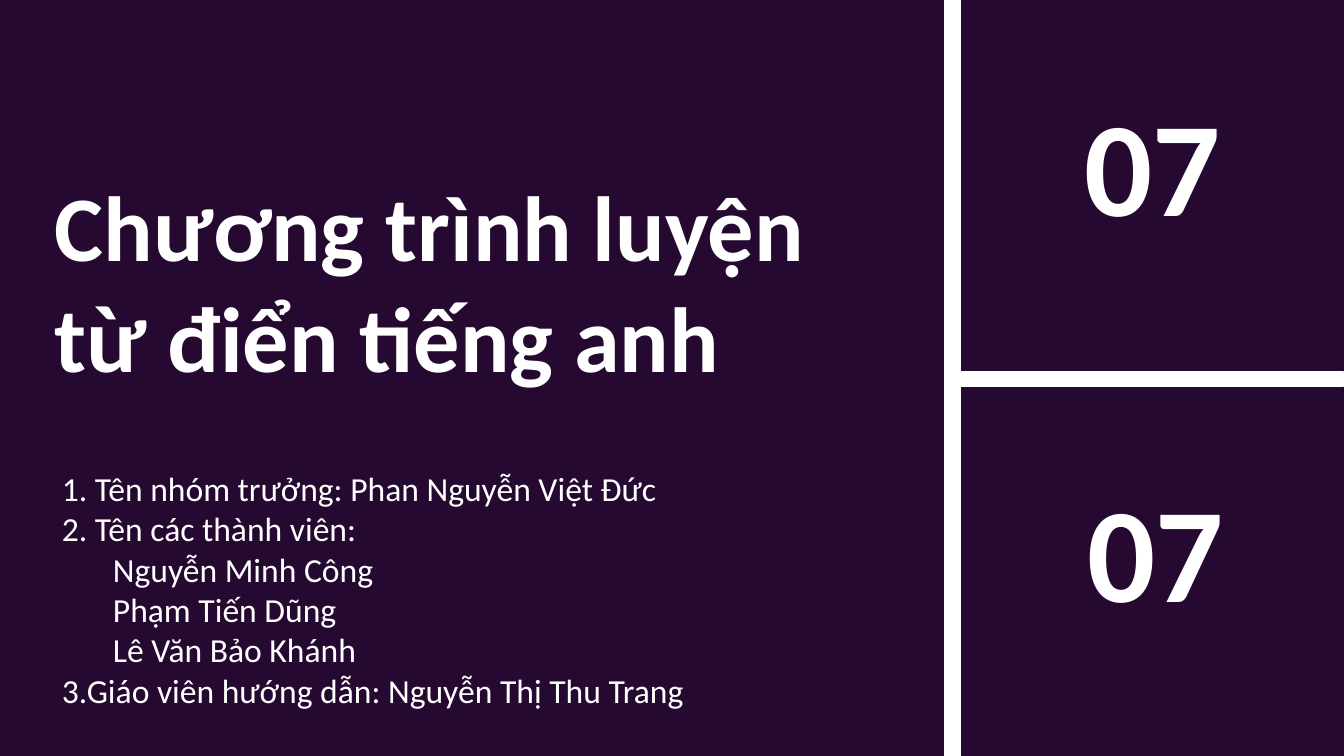
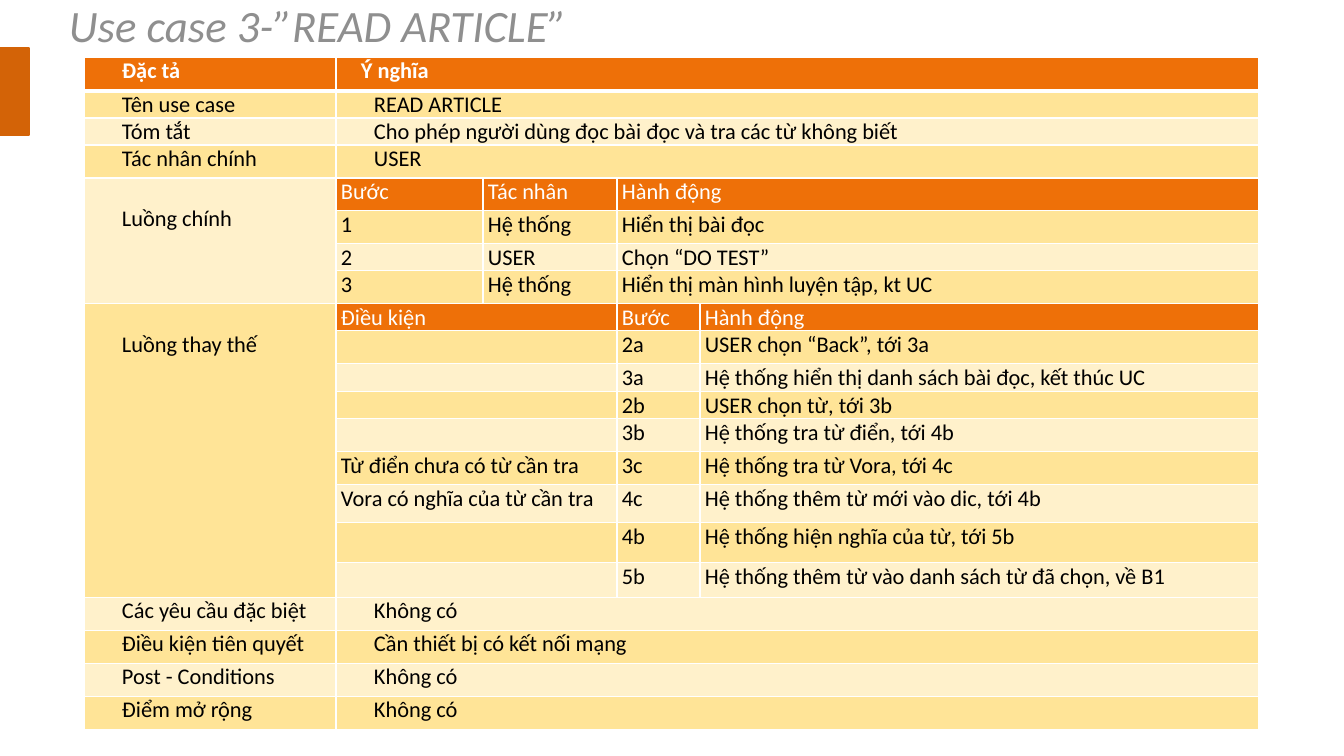
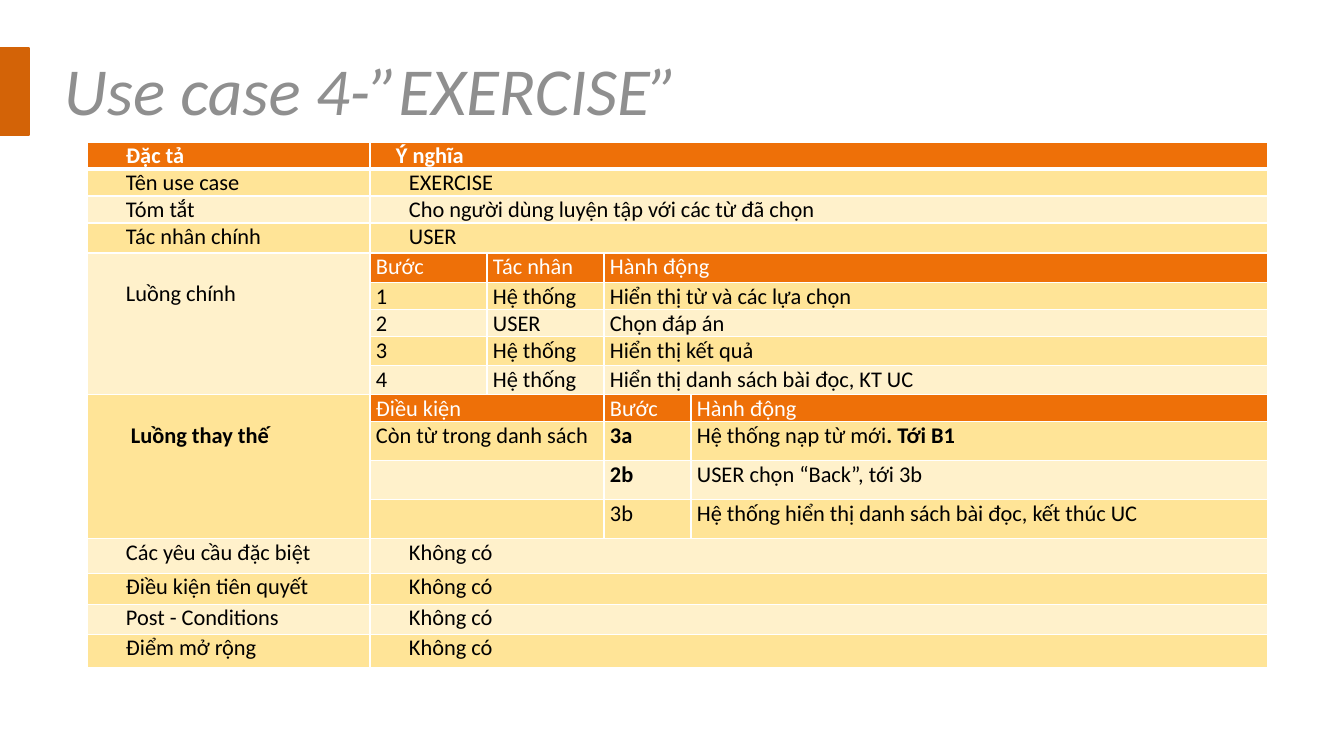
from dataclasses import dataclass
from typing import NamedTuple, Sequence

from lxml.etree import SubElement
from pptx import Presentation
from pptx.dml.color import RGBColor
from pptx.enum.shapes import MSO_SHAPE
from pptx.oxml.ns import qn
from pptx.util import Emu, Pt

WIDE, HIGH = 1344, 756
SCALE = 12192000 / WIDE


def px(n: int) -> Emu:
    return Emu(round(n * SCALE))


@dataclass(frozen=True)
class Theme:
    font: str = "Calibri"
    night: str = "250931"
    white: str = "FFFFFF"
    black: str = "000000"
    gray: str = "8F8F8F"
    rust: str = "D36307"
    orange: str = "EE7008"
    bands: tuple = ("FFE497", "FFF1CB")
    cover: int = 66
    number: int = 96
    list: int = 24
    cell: int = 16
    edge: float = 0.85
    rule: int = 1
    thick: int = 3


THEME = Theme()


class Box(NamedTuple):
    left: int
    top: int
    width: int
    height: int


class Line(NamedTuple):
    text: str
    dent: int = 0


class Flow(NamedTuple):
    """A block of steps with its own header row."""
    label: Line
    spans: tuple  # first and last column of each cell
    head: tuple
    steps: tuple


class Case(NamedTuple):
    title: Line
    size: int
    place: Box
    left: int
    top: int
    inset: int
    cols: tuple
    rows: tuple
    body: tuple  # (label, meaning) pairs and flows


# Basic pieces
def write(frame, lines: Sequence[Line], *, size: int, color: str,
          bold: bool = False, italic: bool = False) -> None:
    """Fill a text frame; text between asterisks is bold."""
    for i, line in enumerate(lines):
        para = frame.paragraphs[0] if i == 0 else frame.add_paragraph()
        if line.dent:
            para._p.get_or_add_pPr().set("marL", str(px(line.dent)))
        for k, piece in enumerate(line.text.split("*")):
            if not piece:
                continue
            run = para.add_run()
            run.text = piece
            font = run.font
            font.name, font.size = THEME.font, Pt(size)
            font.bold, font.italic = bold or k % 2 == 1, italic
            font.color.rgb = RGBColor.from_string(color)
        if not line.text:
            SubElement(para._p, qn("a:endParaRPr"), sz=str(size * 100))


def label(slide, box: Box, lines: Sequence[Line], *, wrap: bool = True,
          **style) -> None:
    frame = slide.shapes.add_textbox(*map(px, box)).text_frame
    frame.word_wrap = wrap
    write(frame, lines, **style)


def bar(slide, box: Box, color: str) -> None:
    shape = slide.shapes.add_shape(MSO_SHAPE.RECTANGLE, *map(px, box))
    shape.shadow.inherit = False
    shape.fill.solid()
    shape.fill.fore_color.rgb = RGBColor.from_string(color)
    shape.line.color.rgb = RGBColor.from_string(color)
    shape.line.width = Pt(THEME.edge)


def page(deck, color: str):
    slide = deck.slides.add_slide(deck.slide_layouts[6])
    slide.background.fill.solid()
    slide.background.fill.fore_color.rgb = RGBColor.from_string(color)
    return slide


# Table pieces
def border(cell, first: bool, second: bool) -> None:
    props = cell._tc.get_or_add_tcPr()
    for side in "LRTB":
        heavy = (first and side == "B") or (second and side == "T")
        width = THEME.thick if heavy else THEME.rule
        line = SubElement(props, qn(f"a:ln{side}"), w=str(Pt(width)))
        fill = SubElement(line, qn("a:solidFill"))
        SubElement(fill, qn("a:srgbClr"), val=THEME.white)


def put(table, start: tuple, end: tuple, line: Line, fill: str, inset: int,
        *, drop: int = 0, color: str = THEME.black, bold: bool = False) -> None:
    """Merge the cells from start to end, then fill and letter them."""
    cell = table.cell(*start)
    if start != end:
        cell.merge(table.cell(*end))
    cell.margin_left = cell.margin_right = px(inset)
    cell.margin_top, cell.margin_bottom = px(drop), 0
    cell.fill.solid()
    cell.fill.fore_color.rgb = RGBColor.from_string(fill)
    write(cell.text_frame, [line], size=THEME.cell, color=color, bold=bold)


DENT, HEAD, DROP = 33, 20, 27


def grid(slide, case: Case) -> None:
    count, last = len(case.rows), len(case.cols) - 1
    box = Box(case.left, case.top, sum(case.cols), sum(case.rows))
    table = slide.shapes.add_table(count, last + 1, *map(px, box)).table
    table.first_row = table.horz_banding = False
    for col, width in zip(table.columns, case.cols):
        col.width = px(width)
    for i, (row, height) in enumerate(zip(table.rows, case.rows)):
        row.height = px(height)
        for cell in row.cells:
            border(cell, i == 0, i == 1)

    # Header row
    top = {"color": THEME.white, "bold": True}
    put(table, (0, 0), (0, 0), Line("Đặc tả", DENT), THEME.orange,
        case.inset, **top)
    put(table, (0, 1), (0, last), Line("Ý nghĩa", HEAD), THEME.orange,
        case.inset, **top)

    # Body: outer bands alternate, and each flow starts its own
    at = 1
    for i, item in enumerate(case.body):
        band = THEME.bands[i % 2]
        if not isinstance(item, Flow):
            name, text = item
            put(table, (at, 0), (at, 0), Line(name, DENT), band, case.inset)
            put(table, (at, 1), (at, last), Line(text, DENT), band, case.inset)
            at += 1
            continue
        put(table, (at, 0), (at + len(item.steps), 0), item.label, band,
            case.inset, drop=DROP)
        for k, texts in enumerate((item.head, *item.steps)):
            fill = THEME.bands[(k - 1) % 2] if k else THEME.orange
            color = THEME.black if k else THEME.white
            for (a, b), text in zip(item.spans, texts):
                put(table, (at, a), (at, b), Line(text), fill, case.inset,
                    color=color)
            at += 1


# Content
def main_flow(*steps: tuple) -> Flow:
    return Flow(Line("Luồng chính", DENT), ((1, 1), (2, 2), (3, 4)),
                ("Bước", "Tác nhân", "Hành động"), steps)


def other_flow(name: Line, *steps: tuple) -> Flow:
    return Flow(name, ((1, 2), (3, 3), (4, 4)),
                ("Điều kiện", "Bước", "Hành động"), steps)


def fields(name: str, gist: str, first: Flow, other: Flow, need: str) -> tuple:
    none = "Không có"
    return (
        ("Tên use case", name), ("Tóm tắt", gist), ("Tác nhân chính", "USER"),
        first, other,
        ("Các yêu cầu đặc biệt", none), ("Điều kiện tiên quyết", need),
        ("Post - Conditions", none), ("Điểm mở rộng", none),
    )


READ = Case(
    Line("Use case 3-”READ ARTICLE”", 12), 32, Box(47, -7, 543, 64),
    84, 57, 5, (252, 147, 134, 83, 559),
    (34, 27, 27, 33, 33, 33, 27, 33, 27, 33, 28, 27, 33, 33, 38, 40, 35,
     33, 33, 33, 33),
    fields(
        "READ ARTICLE",
        "Cho phép người dùng đọc bài đọc và tra các từ không biết",
        main_flow(
            ("1", "Hệ thống", "Hiển thị bài đọc"),
            ("2", "USER", "Chọn “DO TEST”"),
            ("3", "Hệ thống", "Hiển thị màn hình luyện tập, kt UC")),
        other_flow(
            Line("Luồng thay thế", DENT),
            ("", "2a", "USER chọn “Back”, tới 3a"),
            ("", "3a", "Hệ thống hiển thị danh sách bài đọc, kết thúc UC"),
            ("", "2b", "USER chọn từ, tới 3b"),
            ("", "3b", "Hệ thống tra từ điển, tới 4b"),
            ("Từ điển chưa có từ cần tra", "3c",
             "Hệ thống tra từ Vora, tới 4c"),
            ("Vora có nghĩa của từ cần tra", "4c",
             "Hệ thống thêm từ mới vào dic, tới 4b"),
            ("", "4b", "Hệ thống hiện nghĩa của từ, tới 5b"),
            ("", "5b", "Hệ thống thêm từ vào danh sách từ đã chọn, về B1")),
        "Cần thiết bị có kết nối mạng"),
)

DRILL = Case(
    Line("Use case 4-”EXERCISE”", 12), 48, Box(42, 43, 669, 92),
    87, 142, 6, (283, 117, 117, 87, 577),
    (27, 27, 27, 30, 30, 27, 27, 29, 29, 27, 39, 39, 39, 35, 31, 30, 33),
    fields(
        "EXERCISE",
        "Cho người dùng luyện tập với các từ đã chọn",
        main_flow(
            ("1", "Hệ thống", "Hiển thị từ và các lựa chọn"),
            ("2", "USER", "Chọn đáp án"),
            ("3", "Hệ thống", "Hiển thị kết quả"),
            ("4", "Hệ thống", "Hiển thị danh sách bài đọc, KT UC")),
        other_flow(
            Line("*Luồng thay thế*", DENT + 5),
            ("Còn từ trong danh sách", "*3a*",
             "Hệ thống nạp từ mới*. Tới B1*"),
            ("", "*2b*", "USER chọn “Back”, tới 3b"),
            ("", "3b", "Hệ thống hiển thị danh sách bài đọc, kết thúc UC")),
        "Không có"),
)

TEAM = (
    Line("1. Tên nhóm trưởng: Phan Nguyễn Việt Đức", 7),
    Line("2. Tên các thành viên:", 7),
    Line("Nguyễn Minh Công", 58),
    Line("Phạm Tiến Dũng", 58),
    Line("Lê Văn Bảo Khánh", 58),
    Line("3.Giáo viên hướng dẫn: Nguyễn Thị Thu Trang", 7),
)


# Slides
def cover(deck) -> None:
    slide = page(deck, THEME.night)
    bar(slide, Box(945, 0, 15, HIGH), THEME.white)
    bar(slide, Box(960, 372, 384, 14), THEME.white)
    label(slide, Box(45, 164, 810, 234),
          [Line("Chương trình luyện từ điển tiếng anh")],
          size=THEME.cover, color=THEME.white, bold=True)
    label(slide, Box(45, 463, 672, 254), TEAM,
          size=THEME.list, color=THEME.white)
    for left, top in ((1045, 77), (1048, 463)):
        label(slide, Box(left, top, 277, 173), [Line("07", 30)],
              size=THEME.number, color=THEME.white, bold=True)


def sheet(deck, case: Case) -> None:
    slide = page(deck, THEME.white)
    label(slide, case.place, [case.title], wrap=False,
          size=case.size, color=THEME.gray, italic=True)
    grid(slide, case)
    bar(slide, Box(0, 48, 29, 87), THEME.rust)


def main() -> None:
    deck = Presentation()
    deck.slide_width, deck.slide_height = px(WIDE), px(HIGH)
    cover(deck)
    for case in (READ, DRILL):
        sheet(deck, case)
    deck.save("out.pptx")


if __name__ == "__main__":
    main()
